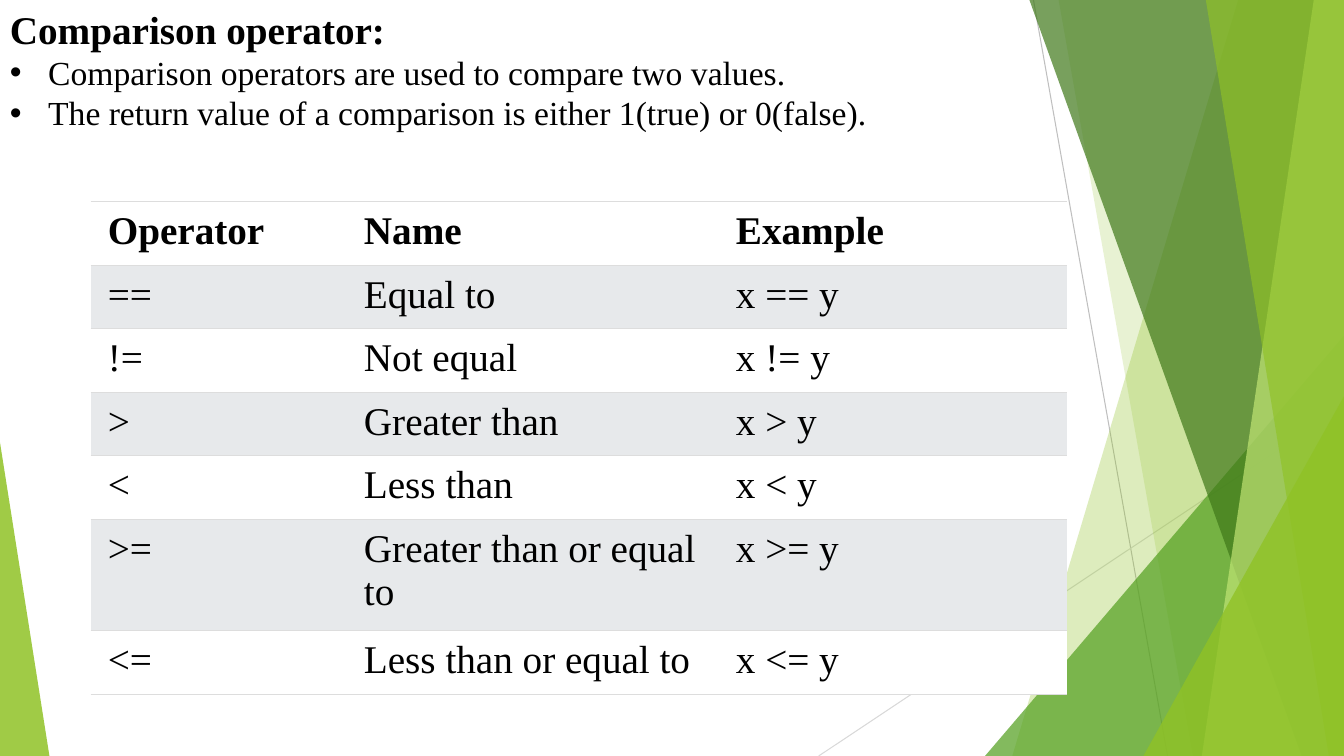
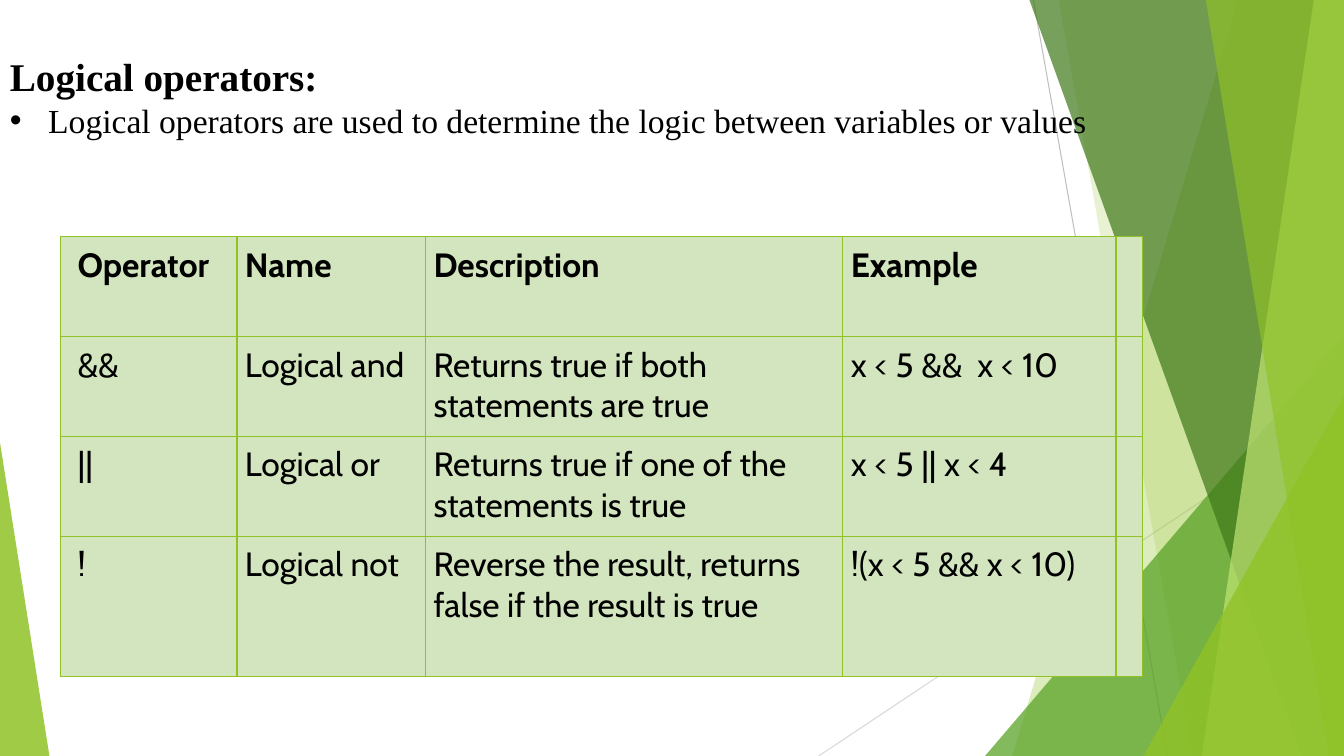
from lxml.etree import SubElement
from pptx import Presentation
from pptx.dml.color import RGBColor
from pptx.enum.shapes import MSO_CONNECTOR as Connector, MSO_SHAPE as Shape
from pptx.enum.text import MSO_ANCHOR as Anchor
from pptx.oxml.ns import qn
from pptx.util import Pt

SCALE = 9144  # EMU per px, 100 px to the inch
WIDTH, HEIGHT = 1333, 750
COLORS = {
    "text": "000000",
    "white": "FFFFFF",
    "band": "E7E9EB",
    "rule": "DDDDDD",
    "lime": "90C226",
    "green": "54A021",
    "forest": "3F7819",
    "pale_lime": "C0E474",
    "tint": "D3E5BE",
    "line": "BFBFBF",
    "light_line": "D9D9D9",
}
SERIF, SANS = "Times New Roman", "Cabin"
TITLE_SIZE, BODY_SIZE = 28, 24
BULLET_INDENT = 38
CELL_INSET, FIRST_COLUMN_INSET = 8, 17
SIDES = ("lnL", "lnR", "lnT", "lnB")

BACKDROP_LINES = [
    ((1025, 0), (1158, HEIGHT), "line"),
    ((WIDTH, 403), (812, HEIGHT), "light_line"),
]
# Bands: top left, top right, bottom right, bottom left x.
# Triangles: left, top, width, apex position (0 left, 1 right).
BACKDROP_FACETS = [
    ("band", (1228, WIDTH, WIDTH, 1004), "lime", 30),
    ("band", (1050, WIDTH, WIDTH, 1183), "lime", 20),
    ("triangle", (977, 333, 356, 1), "green", 72),
    ("band", (1021, WIDTH, WIDTH, 1291), "forest", 70),
    ("band", (1303, WIDTH, WIDTH, 1192), "pale_lime", 70),
    ("band", (1196, WIDTH, WIDTH, 1318), "lime", 65),
    ("triangle", (1134, 393, 199, 1), "lime", 80),
    ("triangle", (0, 439, 49, 0), "lime", 85),
]

COMPARISON_ROWS = [
    ("Operator", "Name", "Example", ""),
    ("==", "Equal to", "x == y", ""),
    ("!=", "Not equal", "x != y", ""),
    (">", "Greater than", "x > y", ""),
    ("<", "Less than", "x < y", ""),
    (">=", "Greater than or equal to", "x >= y", ""),
    ("<=", "Less than or equal to", "x <= y", ""),
]
LOGICAL_ROWS = [
    ("Operator", "Name", "Description", "Example", ""),
    ("&&", "Logical and", "Returns true if both statements are true", "x < 5 &&  x < 10", ""),
    ("||", "Logical or", "Returns true if one of the statements is true", "x < 5 || x < 4", ""),
    ("!", "Logical not", "Reverse the result, returns false if the result is true",
     "!(x < 5 && x < 10)", ""),
]


def px(*lengths):
    return [length * SCALE for length in lengths]


def rgb(name):
    return RGBColor.from_string(COLORS[name])


def paint(shape, color, opacity):
    shape.shadow.inherit = False
    shape.line.fill.background()
    shape.fill.solid()
    shape.fill.fore_color.rgb = rgb(color)
    color_element = shape.fill._xPr.find(qn("a:solidFill"))[0]
    SubElement(color_element, qn("a:alpha"), val=str(opacity * 1000))


def add_line(slide, start, end, color):
    line = slide.shapes.add_connector(Connector.STRAIGHT, *px(*start, *end))
    line.line.color.rgb = rgb(color)
    line.line.width = Pt(0.75)
    SubElement(line._element.spPr, qn("a:effectLst"))


def add_band(slide, top_left, top_right, bottom_right, bottom_left):
    builder = slide.shapes.build_freeform(top_left, 0, scale=SCALE)
    builder.add_line_segments(
        [(top_right, 0), (bottom_right, HEIGHT), (bottom_left, HEIGHT)], close=True)
    return builder.convert_to_shape()


def add_triangle(slide, left, top, width, apex):
    """Add a triangle standing on the bottom edge of the slide."""
    triangle = slide.shapes.add_shape(
        Shape.ISOSCELES_TRIANGLE, *px(left, top, width, HEIGHT - top))
    triangle.adjustments[0] = apex
    return triangle


def add_backdrop(slide):
    for start, end, color in BACKDROP_LINES:
        add_line(slide, start, end, color)
    builders = {"band": add_band, "triangle": add_triangle}
    for kind, geometry, color, opacity in BACKDROP_FACETS:
        paint(builders[kind](slide, *geometry), color, opacity)


def style_paragraph(paragraph, font_name, size, bold=False):
    font = paragraph.font
    font.name, font.size, font.bold = font_name, Pt(size), bold
    font.color.rgb = rgb("text")


def add_bullet(paragraph):
    properties = paragraph._p.get_or_add_pPr()
    indent = BULLET_INDENT * SCALE
    properties.set("marL", str(indent))
    properties.set("indent", str(-indent))
    SubElement(properties, qn("a:buFont"), typeface="Arial")
    SubElement(properties, qn("a:buChar"), char="•")


def add_heading(slide, top, height, title, bullets):
    frame = slide.shapes.add_textbox(*px(0, top, WIDTH, height)).text_frame
    frame.word_wrap = True
    frame.text = title
    style_paragraph(frame.paragraphs[0], SERIF, TITLE_SIZE, bold=True)
    for bullet in bullets:
        paragraph = frame.add_paragraph()
        paragraph.text = bullet
        add_bullet(paragraph)
        style_paragraph(paragraph, SERIF, BODY_SIZE)


def set_borders(cell, sides, color, width):
    """Draw the given sides and clear the others."""
    properties = cell._tc.get_or_add_tcPr()
    for side in SIDES:
        border = SubElement(properties, qn(f"a:{side}"), w=str(Pt(width)))
        if side in sides:
            fill = SubElement(border, qn("a:solidFill"))
            SubElement(fill, qn("a:srgbClr"), val=COLORS[color])
        else:
            SubElement(border, qn("a:noFill"))


def add_operator_table(slide, left, top, widths, heights, rows, font, fills, border):
    """Fill the rows with the given colours in turn; the first row is bold."""
    font_name, size = font
    table = slide.shapes.add_table(
        len(rows), len(widths), *px(left, top, sum(widths), sum(heights))).table
    table.first_row = table.horz_banding = False
    for column, width in zip(table.columns, widths):
        column.width = width * SCALE
    for row, height in zip(table.rows, heights):
        row.height = height * SCALE
    for row_index, texts in enumerate(rows):
        for column_index, text in enumerate(texts):
            cell = table.cell(row_index, column_index)
            inset = CELL_INSET if column_index else FIRST_COLUMN_INSET
            cell.margin_left = inset * SCALE
            cell.margin_right = cell.margin_top = cell.margin_bottom = CELL_INSET * SCALE
            cell.vertical_anchor = Anchor.TOP
            set_borders(cell, *border)
            cell.fill.solid()
            cell.fill.fore_color.rgb = rgb(fills[row_index % len(fills)])
            cell.text = text
            style_paragraph(cell.text_frame.paragraphs[0], font_name, size, row_index == 0)


def add_slide(presentation):
    slide = presentation.slides.add_slide(presentation.slide_layouts[6])
    add_backdrop(slide)
    return slide


def add_comparison_slide(presentation):
    slide = add_slide(presentation)
    add_heading(slide, 0, 219, "Comparison operator:", [
        "Comparison operators are used to compare two values.",
        "The return value of a comparison is either 1(true) or 0(false).",
    ])
    add_operator_table(
        slide, 90, 200, [263, 369, 316, 20], [63] * 5 + [111, 63], COMPARISON_ROWS,
        (SERIF, 28), ["white", "band"], (("lnT", "lnB"), "rule", 0.75))


def add_logical_slide(presentation):
    slide = add_slide(presentation)
    add_heading(slide, 47, 138, "Logical operators:", [
        "Logical operators are used to determine the logic between variables or values",
    ])
    add_operator_table(
        slide, 60, 235, [175, 187, 414, 271, 26], [99] * 3 + [139], LOGICAL_ROWS,
        (SANS, 24), ["tint"], (SIDES, "lime", 1))


def main():
    presentation = Presentation()
    presentation.slide_width, presentation.slide_height = px(WIDTH, HEIGHT)
    add_comparison_slide(presentation)
    add_logical_slide(presentation)
    presentation.save("out.pptx")


if __name__ == "__main__":
    main()
